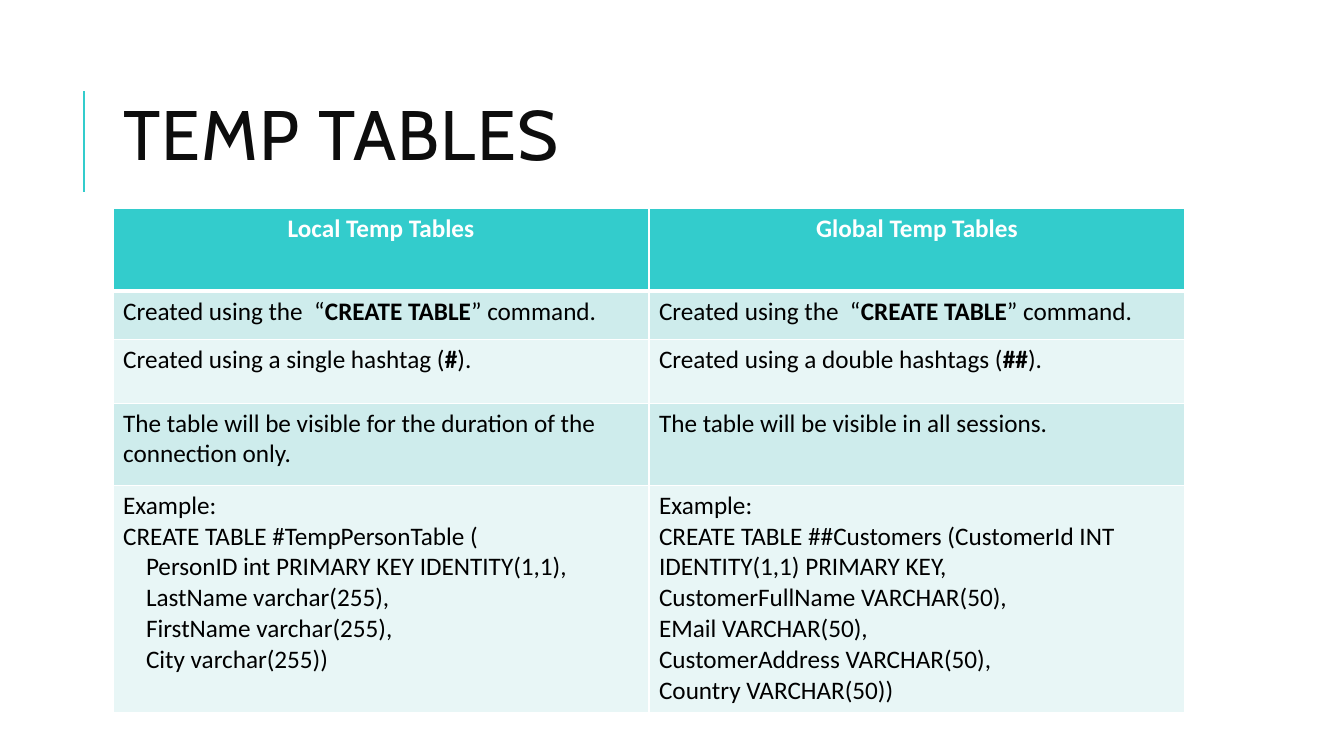
from pptx import Presentation
from pptx.dml.color import RGBColor
from pptx.enum import shapes, text
from pptx.oxml import ns
from pptx.util import Pt
from lxml import etree

TITLE = "TEMP TABLES"
ROWS = [
    (["Local Temp Tables"], ["Global Temp Tables"]),
    (["Created using the  “*CREATE TABLE*” command."],
     ["Created using the  “*CREATE TABLE*” command."]),
    (["Created using a single hashtag (*#*)."],
     ["Created using a double hashtags (*##*)."]),
    (["The table will be visible for the duration of the connection only."],
     ["The table will be visible in all sessions."]),
    (["Example:",
      "CREATE TABLE #TempPersonTable (",
      ">PersonID int PRIMARY KEY IDENTITY(1,1),",
      ">LastName varchar(255),",
      ">FirstName varchar(255),",
      ">City varchar(255))"],
     ["Example:",
      "CREATE TABLE ##Customers (CustomerId INT IDENTITY(1,1) PRIMARY KEY,",
      "CustomerFullName VARCHAR(50),",
      "EMail VARCHAR(50),",
      "CustomerAddress VARCHAR(50),",
      "Country VARCHAR(50))"]),
]
HEIGHTS = [58.8, 34.8, 45.2, 58.8, 162.4]
TEAL, WHITE, BLACK, INK = "33CCCC", "FFFFFF", "000000", "0D0D0D"
BANDS = ["E8F6F6", "CEECEC"]
LEFT, WIDTH = 80.8, 765.6
INDENT = 16.3


def paint(part, color):
    if hasattr(part, "solid"):
        part.solid()
        part.fore_color.rgb = RGBColor.from_string(color)
    else:
        part.rgb = RGBColor.from_string(color)


def style(run, face, size, color, bold=False):
    run.font.name = face
    run.font.size = Pt(size)
    run.font.bold = bold
    paint(run.font.color, color)


def border(cell, side, width):
    props = cell._tc.get_or_add_tcPr()
    edge = etree.SubElement(props, ns.qn("a:ln" + side), w=str(Pt(width)))
    fill = etree.SubElement(edge, ns.qn("a:solidFill"))
    etree.SubElement(fill, ns.qn("a:srgbClr"), val=WHITE)


def write(cell, lines, head):
    frame = cell.text_frame
    frame.text = "\n".join(line.lstrip(">").replace("*", "") for line in lines)
    for para, line in zip(frame.paragraphs, lines):
        para.alignment = text.PP_ALIGN.CENTER if head else text.PP_ALIGN.LEFT
        if line.startswith(">"):
            para._p.get_or_add_pPr().set("marL", str(Pt(INDENT)))
        parts = line.lstrip(">").split("*")
        para.runs[0].text = parts[0]
        for part in parts[1:]:
            para.add_run().text = part
        for i, run in enumerate(para.runs):
            style(run, "Calibri", 18, WHITE if head else BLACK, head or i % 2 == 1)


def main():
    deck = Presentation()
    deck.slide_width, deck.slide_height = Pt(960), Pt(540)
    slide = deck.slides.add_slide(deck.slide_layouts[5])

    rule = slide.shapes.add_connector(
        shapes.MSO_CONNECTOR.STRAIGHT, Pt(60), Pt(137), Pt(60), Pt(65))
    rule.line.width = Pt(1.5)
    paint(rule.line.fill, TEAL)
    etree.SubElement(rule._element.spPr, ns.qn("a:effectLst"))

    title = slide.shapes.title
    title.left, title.top = Pt(LEFT), Pt(64)
    title.width, title.height = Pt(WIDTH), Pt(73)
    frame = title.text_frame
    frame.text = TITLE
    frame.word_wrap = True
    frame.auto_size = text.MSO_AUTO_SIZE.NONE
    frame.vertical_anchor = text.MSO_ANCHOR.MIDDLE
    para = frame.paragraphs[0]
    para.alignment = text.PP_ALIGN.LEFT
    para.line_spacing = 0.8
    style(para.runs[0], "Cabin", 50, INK)
    para.runs[0].font._element.set("spc", "100")

    grid = slide.shapes.add_table(
        len(ROWS), 2, Pt(LEFT), Pt(149.2), Pt(WIDTH), Pt(sum(HEIGHTS))).table
    for col in grid.columns:
        col.width = Pt(WIDTH / 2)
    for r, (row, high) in enumerate(zip(ROWS, HEIGHTS)):
        grid.rows[r].height = Pt(high)
        for c, lines in enumerate(row):
            cell = grid.cell(r, c)
            for side in "LRTB":
                thick = (r, side) in [(0, "B"), (1, "T")]
                border(cell, side, 3 if thick else 1)
            cell.fill.solid()
            paint(cell.fill, BANDS[r % 2] if r else TEAL)
            write(cell, lines, r == 0)

    deck.save("out.pptx")


if __name__ == "__main__":
    main()
